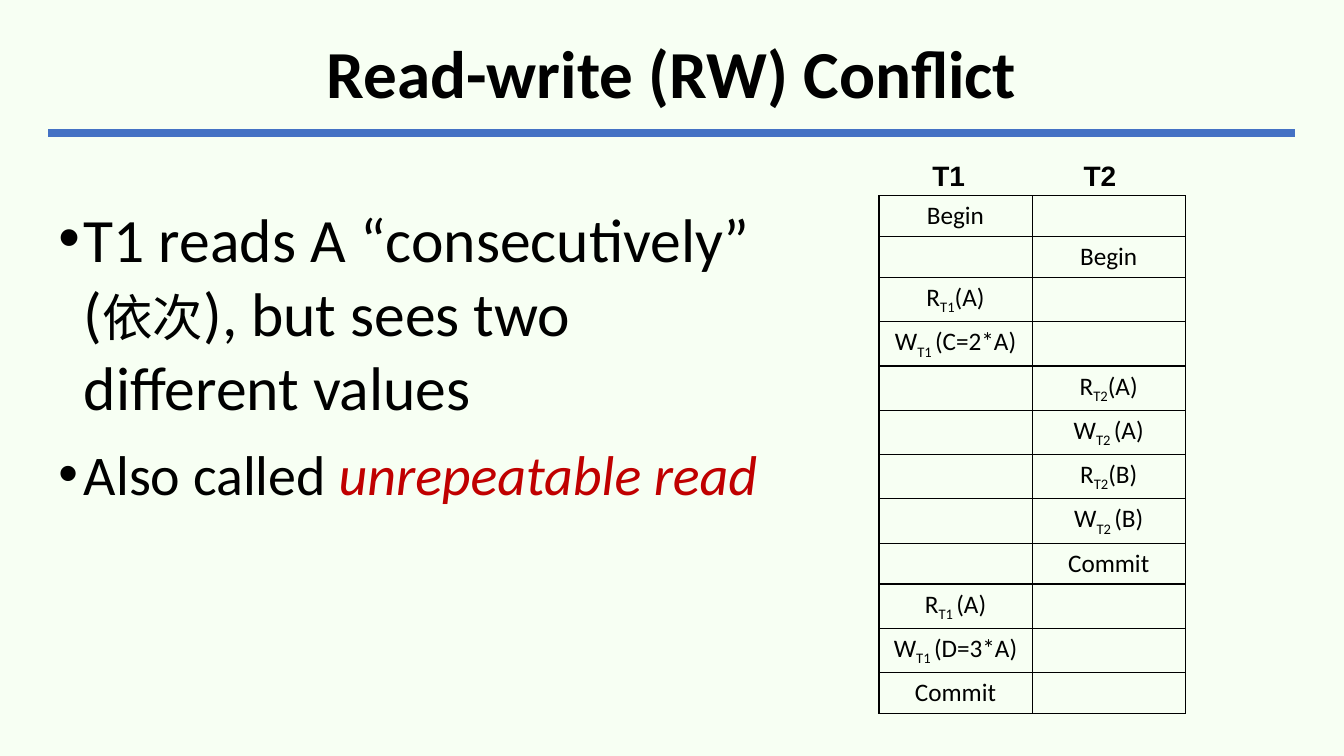
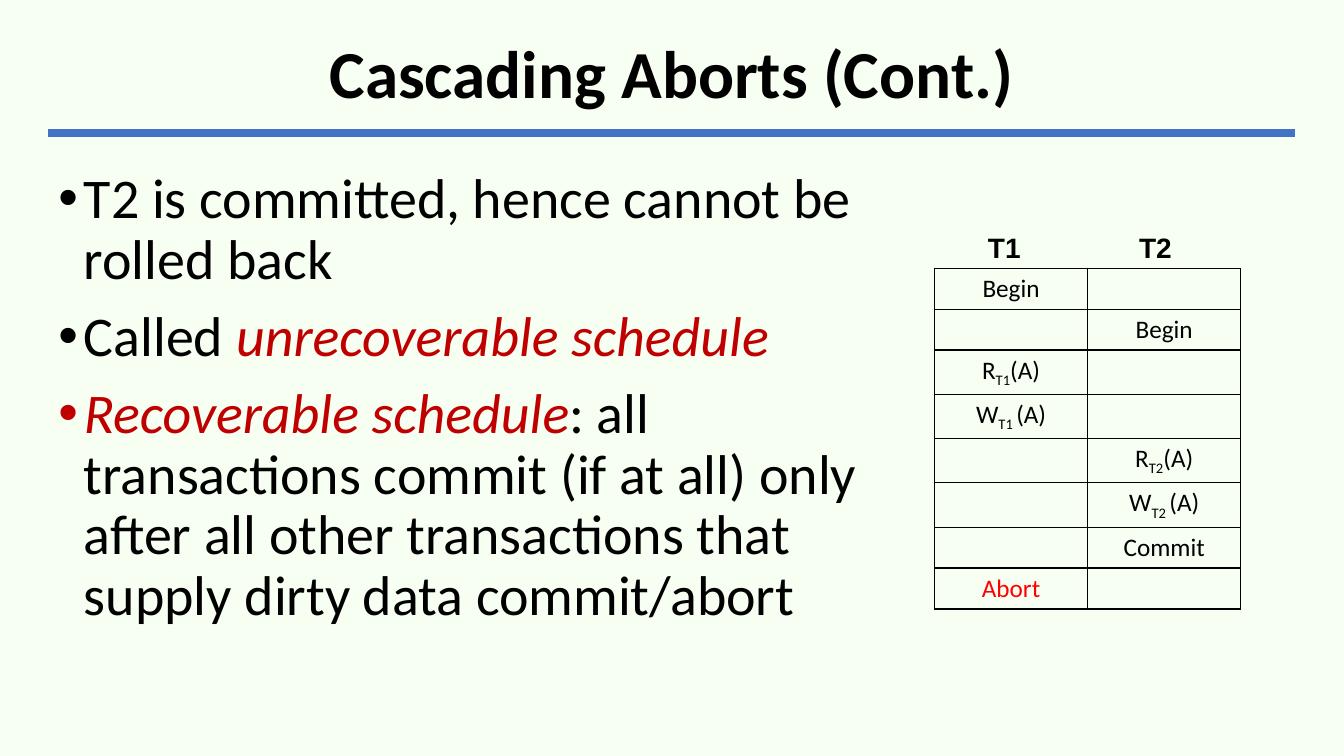
from dataclasses import dataclass

from lxml import etree
from pptx import Presentation
from pptx.dml.color import RGBColor
from pptx.enum.shapes import MSO_CONNECTOR
from pptx.enum.text import MSO_ANCHOR, MSO_AUTO_SIZE, PP_ALIGN
from pptx.oxml.ns import qn
from pptx.util import Cm, Pt


@dataclass(frozen=True)
class Theme:
    background: RGBColor = RGBColor(0xF7, 0xFF, 0xF3)
    rule: RGBColor = RGBColor(0x44, 0x72, 0xC4)
    ink: RGBColor = RGBColor(0, 0, 0)
    accent: RGBColor = RGBColor(0xC0, 0, 0)
    alert: RGBColor = RGBColor(0xFF, 0, 0)
    text_font: str = "Calibri"
    header_font: str = "Arial"
    chinese_font: str = "Noto Sans CJK SC"
    title_size: int = 48
    large_size: int = 44
    body_size: int = 40
    chinese_size: int = 36
    header_size: int = 20
    table_size: int = 18


THEME = Theme()


def text_style(size, name=THEME.text_font, color=THEME.ink, bold=False, italic=False):
    return {"size": Pt(size), "name": name, "bold": bold, "italic": italic}, color


STYLES = {
    "title": text_style(THEME.title_size, bold=True),
    "large": text_style(THEME.large_size),
    "chinese": text_style(THEME.chinese_size, THEME.chinese_font),
    "body": text_style(THEME.body_size),
    "term": text_style(THEME.body_size, color=THEME.accent, italic=True),
    "header": text_style(THEME.header_size, THEME.header_font, bold=True),
    "step": text_style(THEME.table_size),
    "abort": text_style(THEME.table_size, color=THEME.alert),
}

MARGIN = Cm(1.22)
CONTENT_WIDTH = Cm(31.42)
RULE_TOP = Cm(3.35)
COLUMN_WIDTH = Cm(3.86)
ROW_HEIGHT = Cm(1.02)
HEADER_INSET = Cm(0.64)
HEADER_PITCH = Cm(3.81)
HEADER_WIDTH = Cm(2.24)
HEADER_HEIGHT = Cm(1.7)
TRANSACTIONS = ("T1", "T2")


def set_values(target, values):
    for name, value in values.items():
        setattr(target, name, value)


def place(shape, left, top, width, height):
    set_values(shape, {"left": left, "top": top, "width": width, "height": height})


def add_run(paragraph, text, style):
    values, color = STYLES[style]
    run = paragraph.add_run()
    run.text = text
    set_values(run.font, values)
    run.font.color.rgb = color
    properties = run.font._element
    east_asian = etree.Element(qn("a:ea"), typeface=values["name"])
    properties.find(qn("a:latin")).addnext(east_asian)
    return properties


def add_title(slide, text):
    title = slide.shapes.title
    place(title, MARGIN, Cm(0.61), CONTENT_WIDTH, Cm(2.64))
    set_values(title.text_frame, {
        "auto_size": MSO_AUTO_SIZE.NONE,
        "vertical_anchor": MSO_ANCHOR.MIDDLE,
    })
    paragraph = title.text_frame.paragraphs[0]
    set_values(paragraph, {"alignment": PP_ALIGN.CENTER, "line_spacing": 0.9})
    add_run(paragraph, text, "title")


def add_bullets(slide, top, width, height, bullets, line_spacing):
    body = slide.placeholders[1]
    place(body, MARGIN, top, width, height)
    frame = body.text_frame
    set_values(frame, {
        "auto_size": MSO_AUTO_SIZE.NONE,
        "vertical_anchor": MSO_ANCHOR.TOP,
    })
    for index, runs in enumerate(bullets):
        paragraph = frame.add_paragraph() if index else frame.paragraphs[0]
        set_values(paragraph, {"space_before": Pt(12), "line_spacing": line_spacing})
        properties = paragraph._element.get_or_add_pPr()
        properties.set("marL", str(Cm(0.64)))
        properties.set("indent", str(-Cm(0.64)))
        for text, style in runs:
            add_run(paragraph, text, style)


def add_column_header(slide, left, top, text):
    box = slide.shapes.add_textbox(left, top, HEADER_WIDTH, HEADER_HEIGHT)
    box.text_frame.word_wrap = True
    paragraph = box.text_frame.paragraphs[0]
    set_values(paragraph, {"alignment": PP_ALIGN.CENTER, "line_spacing": Pt(42)})
    add_run(paragraph, text, "header")


def add_borders(cell):
    properties = cell._tc.get_or_add_tcPr()
    for index, side in enumerate(("lnL", "lnR", "lnT", "lnB")):
        line = etree.Element(qn(f"a:{side}"), w=str(Pt(1)))
        fill = etree.SubElement(line, qn("a:solidFill"))
        etree.SubElement(fill, qn("a:srgbClr"), val=str(THEME.ink))
        properties.insert(index, line)


def write_step(cell, text):
    paragraph = cell.text_frame.paragraphs[0]
    paragraph.alignment = PP_ALIGN.CENTER
    style = "abort" if text == "Abort" else "step"
    for index, part in enumerate(text.split("_")):
        properties = add_run(paragraph, part, style)
        if index % 2:
            properties.set("baseline", "-25000")


def add_schedule(slide, left, top, steps):
    columns = len(TRANSACTIONS)
    table = slide.shapes.add_table(
        len(steps), columns, left, top,
        COLUMN_WIDTH * columns, ROW_HEIGHT * len(steps),
    ).table
    set_values(table, {"first_row": False, "horz_banding": False})
    for row, (transaction, text) in enumerate(steps):
        for column, name in enumerate(TRANSACTIONS):
            cell = table.cell(row, column)
            cell.fill.background()
            add_borders(cell)
            if name == transaction:
                write_step(cell, text)
    for column, name in enumerate(TRANSACTIONS):
        header_left = left + HEADER_INSET + column * HEADER_PITCH
        add_column_header(slide, header_left, top - HEADER_HEIGHT, name)


def style_master(presentation, slide):
    master = presentation.slide_master
    fill = master.background.fill
    fill.solid()
    fill.fore_color.rgb = THEME.background
    rule = slide.shapes.add_connector(
        MSO_CONNECTOR.STRAIGHT, MARGIN, RULE_TOP, MARGIN + CONTENT_WIDTH, RULE_TOP
    )
    rule.line.color.rgb = THEME.rule
    rule.line.width = Pt(6)
    etree.SubElement(rule.element.spPr, qn("a:effectLst"))
    rule.element.nvCxnSpPr.cNvPr.set("id", "20")
    master.shapes.element.append(rule.element)


def build_conflict(slide):
    add_title(slide, "Read-write (RW) Conflict")
    add_bullets(slide, Cm(4.93), Cm(18.87), Cm(11.66), [
        [
            ("T1 reads A “consecutively”  (", "large"),
            ("依次", "chinese"),
            ("), but sees two different values", "large"),
        ],
        [("Also called ", "body"), ("unrepeatable read", "term")],
    ], 1.0)
    add_schedule(slide, Cm(22.15), Cm(4.93), [
        ("T1", "Begin"),
        ("T2", "Begin"),
        ("T1", "R_T1_(A)"),
        ("T1", "W_T1 _(C=2*A)"),
        ("T2", "R_T2_(A)"),
        ("T2", "W_T2 _(A)"),
        ("T2", "R_T2_(B)"),
        ("T2", "W_T2 _(B)"),
        ("T2", "Commit"),
        ("T1", "R_T1 _(A)"),
        ("T1", "W_T1 _(D=3*A)"),
        ("T1", "Commit"),
    ])


def build_cascading_aborts(slide):
    add_title(slide, "Cascading Aborts (Cont.)")
    add_bullets(slide, Cm(4.17), Cm(21.44), Cm(13.79), [
        [("T2 is committed, hence cannot be rolled back", "body")],
        [("Called ", "body"), ("unrecoverable schedule", "term")],
        [
            ("Recoverable schedule", "term"),
            (": all transactions commit (if at all) only after all other "
             "transactions that supply dirty data commit/abort", "body"),
        ],
    ], 0.9)
    add_schedule(slide, Cm(23.55), Cm(6.76), [
        ("T1", "Begin"),
        ("T2", "Begin"),
        ("T1", "R_T1_(A)"),
        ("T1", "W_T1 _(A)"),
        ("T2", "R_T2_(A)"),
        ("T2", "W_T2 _(A)"),
        ("T2", "Commit"),
        ("T1", "Abort"),
    ])


def main():
    presentation = Presentation()
    set_values(presentation, {"slide_width": Cm(33.87), "slide_height": Cm(19.05)})
    layout = presentation.slide_layouts[1]
    conflict, aborts = [presentation.slides.add_slide(layout) for _ in range(2)]
    style_master(presentation, conflict)
    build_conflict(conflict)
    build_cascading_aborts(aborts)
    presentation.save("out.pptx")


if __name__ == "__main__":
    main()
